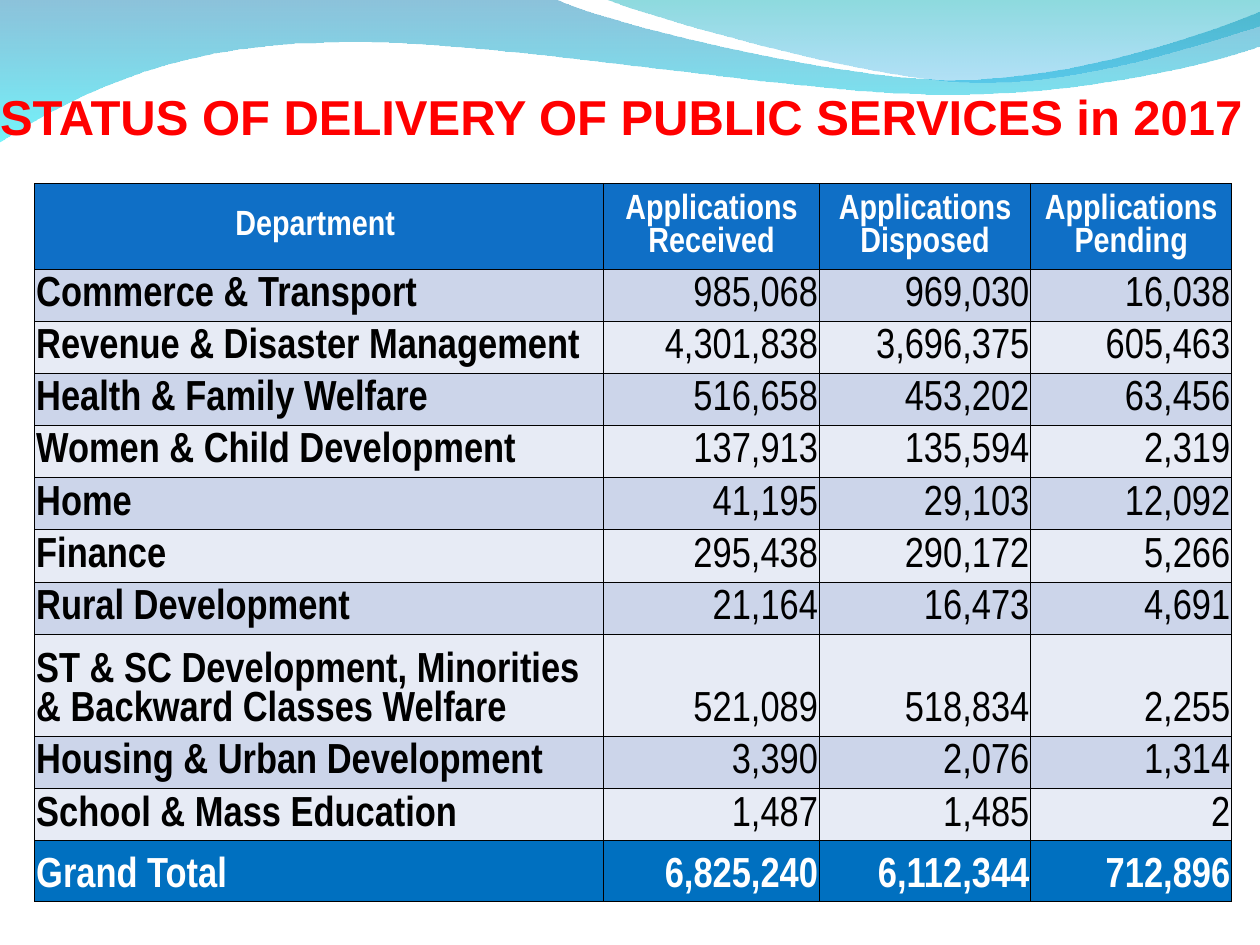
from lxml.etree import Element, SubElement
from pptx import Presentation
from pptx.dml.color import RGBColor
from pptx.enum.text import MSO_ANCHOR as Anchor, MSO_AUTO_SIZE as AutoSize, PP_ALIGN as Align
from pptx.oxml.ns import qn
from pptx.util import Cm, Pt

TITLE = "STATUS OF DELIVERY OF PUBLIC SERVICES in 2017"
HEADINGS = ("Department ", "Applications Received", "Applications Disposed", "Applications Pending")
DEPARTMENTS = [
    ("Commerce & Transport", "985,068", "969,030", "16,038"),
    ("Revenue & Disaster Management", "4,301,838", "3,696,375", "605,463"),
    ("Health & Family Welfare", "516,658", "453,202", "63,456"),
    ("Women & Child Development", "137,913", "135,594", "2,319"),
    ("Home", "41,195", "29,103", "12,092"),
    ("Finance", "295,438", "290,172", "5,266"),
    ("Rural Development", "21,164", "16,473", "4,691"),
    ("ST & SC Development, Minorities & Backward Classes Welfare", "521,089", "518,834", "2,255"),
    ("Housing & Urban Development", "3,390", "2,076", "1,314"),
    ("School & Mass Education", "1,487", "1,485", "2"),
]
GRAND_TOTAL = ("Grand Total", "6,825,240", "6,112,344", "712,896")

COLORS = {
    "title": "FF0000", "heading": "0F6FC6", "total": "0070C0",
    "band_dark": "CCD5EA", "band_light": "E7EBF5",
    "light_text": "FFFFFF", "dark_text": "000000", "border": "000000",
    "wave_blue": "0079AF", "wave_cyan": "00EBF8",
    "crest_teal": "00ADB6", "crest_blue": "009BE5",
}
WAVES = [
    {
        "stops": (("wave_blue", 45), ("wave_cyan", 55)),
        "start": (0, -0.03),
        "segments": [
            [(11.18, -0.03)],
            [(12.09, 0.43), (16.87, 1.6), (19.25, 1.6)],
            [(21.67, 1.6), (24.33, 0.66), (25.4, 0.23)],
            [(25.43, 0.91)],
            [(24.97, 1.12), (22.1, 1.93), (18.95, 1.9)],
            [(15.8, 1.9), (9.7, 0.71), (6.53, 0.86)],
            [(3.28, 0.89), (1.17, 2.11), (-0.03, 2.87)],
            [(0, -0.03)],
        ],
    },
    {
        "stops": (("crest_teal", 45), ("crest_blue", 30)),
        "start": (12.17, -0.03),
        "segments": [
            [(12.93, 0.28), (17.32, 1.57), (19.53, 1.65)],
            [(21.74, 1.75), (24.41, 0.81), (25.4, 0.53)],
            [(25.4, 0)],
            [(12.17, -0.03)],
        ],
    },
]
COLUMN_WIDTHS = (11.47, 4.35, 4.26, 4.05)
HEADING_HEIGHT, LINE_HEIGHT, DOUBLE_HEIGHT, TOTAL_HEIGHT = 1.73, 1.05, 2.07, 1.23
TABLE_LEFT, TABLE_TOP = 0.7, 3.7
TITLE_BOX = {"left": Cm(0), "top": Cm(0.58), "width": Cm(25.4), "height": Cm(2.35)}
TITLE_FRAME = {
    "margin_left": 0, "margin_right": 0, "margin_top": Cm(0.13), "margin_bottom": 0,
    "vertical_anchor": Anchor.BOTTOM, "word_wrap": True, "auto_size": AutoSize.NONE,
}
CELL_MARGINS = {
    "margin_left": Cm(0.03), "margin_right": Cm(0.03),
    "margin_top": Cm(0.12), "margin_bottom": Cm(0.12),
}


def rgb(key):
    return RGBColor.from_string(COLORS[key])


def apply(target, values):
    for attribute, value in values.items():
        setattr(target, attribute, value)


def format_text(paragraph, align, color, **font_values):
    paragraph.alignment = align
    apply(paragraph.font, font_values)
    paragraph.font.color.rgb = rgb(color)


def bend(shape, segments):
    lines = iter(list(shape.element.iter(qn("a:lnTo"))))
    for segment in segments:
        pieces = [next(lines) for _ in segment]
        if len(pieces) == 3:
            curve = Element(qn("a:cubicBezTo"))
            pieces[0].addprevious(curve)
            for piece in pieces:
                curve.append(piece[0])
                piece.getparent().remove(piece)


def add_wave(slide, wave):
    points = [(Cm(x), Cm(y)) for segment in wave["segments"] for x, y in segment]
    builder = slide.shapes.build_freeform(*(Cm(value) for value in wave["start"]))
    builder.add_line_segments(points, close=True)
    shape = builder.convert_to_shape()
    bend(shape, wave["segments"])
    shape.shadow.inherit = False
    shape.line.fill.background()
    shape.fill.gradient()
    shape.fill.gradient_angle = 270
    for stop, (color, opacity) in zip(shape.fill.gradient_stops, wave["stops"]):
        stop.color.rgb = rgb(color)
        tint = next(stop._gs.iter(qn("a:srgbClr")))
        SubElement(tint, qn("a:alpha"), val=str(opacity * 1000))
    slide.shapes.title.element.addprevious(shape.element)


def add_borders(cell):
    properties = cell._tc.get_or_add_tcPr()
    for position, side in enumerate(("a:lnL", "a:lnR", "a:lnT", "a:lnB")):
        line = SubElement(properties, qn(side), w=str(Pt(0.45)))
        SubElement(SubElement(line, qn("a:solidFill")), qn("a:srgbClr"), val=COLORS["border"])
        properties.insert(position, line)


def fill_row(table, index, texts, fill, color, size, heading=False, total=False):
    for column, text in enumerate(texts):
        cell = table.cell(index, column)
        cell.text = text
        apply(cell, CELL_MARGINS)
        cell.vertical_anchor = Anchor.MIDDLE if heading else Anchor.BOTTOM
        cell.fill.solid()
        cell.fill.fore_color.rgb = rgb(fill)
        align = Align.CENTER if heading else Align.RIGHT if column else Align.LEFT
        format_text(cell.text_frame.paragraphs[0], align, color, name="Arial Narrow",
                    size=Pt(size), bold=heading or total or column == 0)
        add_borders(cell)


def add_status_table(slide):
    body_heights = [DOUBLE_HEIGHT if len(row[0]) > 40 else LINE_HEIGHT for row in DEPARTMENTS]
    heights = [HEADING_HEIGHT, *body_heights, TOTAL_HEIGHT]
    table = slide.shapes.add_table(
        len(heights), len(COLUMN_WIDTHS), Cm(TABLE_LEFT), Cm(TABLE_TOP),
        Cm(sum(COLUMN_WIDTHS)), Cm(sum(heights)),
    ).table
    for column, width in zip(table.columns, COLUMN_WIDTHS):
        column.width = Cm(width)
    for row, height in zip(table.rows, heights):
        row.height = Cm(height)
    fill_row(table, 0, HEADINGS, "heading", "light_text", 20, heading=True)
    for index, department in enumerate(DEPARTMENTS, 1):
        fill_row(table, index, department, "band_dark" if index % 2 else "band_light", "dark_text", 24)
    fill_row(table, len(heights) - 1, GRAND_TOTAL, "total", "light_text", 24, total=True)


def main():
    deck = Presentation()
    apply(deck, {"slide_width": Cm(25.4), "slide_height": Cm(19.05)})
    slide = deck.slides.add_slide(deck.slide_layouts[5])
    title = slide.shapes.title
    apply(title, TITLE_BOX)
    title.text = TITLE
    apply(title.text_frame, TITLE_FRAME)
    format_text(title.text_frame.paragraphs[0], Align.LEFT, "title", name="Arial", size=Pt(28), bold=True)
    for wave in WAVES:
        add_wave(slide, wave)
    add_status_table(slide)
    deck.save("out.pptx")


if __name__ == "__main__":
    main()
